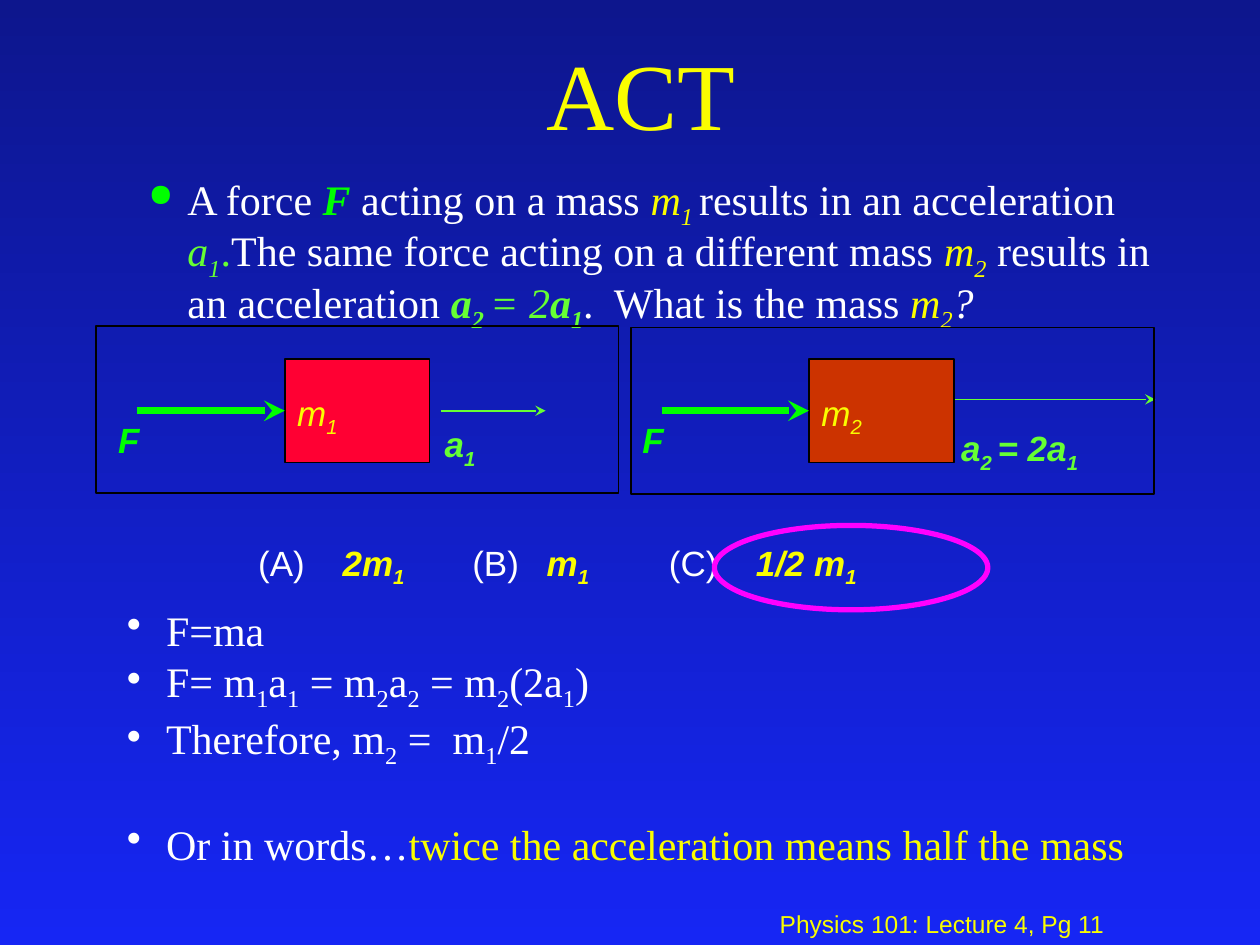
import pptx
import pptx.dml.color
import pptx.enum.shapes
import pptx.enum.text
import pptx.oxml
import pptx.oxml.ns
import pptx.util
from pptx.util import Inches

WHITE, YELLOW, BLACK = "FFFFFF", "FAFD00", "000000"
GREEN, LIME, MAGENTA = "00FF00", "66FF33", "FF00FF"
SERIF, SANS = "Times New Roman", "Arial"
SHAPES = pptx.enum.shapes.MSO_SHAPE


def rgb(value):
    return pptx.dml.color.RGBColor.from_string(value)


def add_xml(parent, tag, **attributes):
    child = pptx.oxml.parse_xml(f"<a:{tag} {pptx.oxml.ns.nsdecls('a')}/>")
    for key, value in attributes.items():
        child.set(key, str(value))
    parent.append(child)
    return child


class Deck:
    """Holds the presentation style and the current slide."""

    def __init__(self, width, height):
        self.show = pptx.Presentation()
        self.show.slide_width, self.show.slide_height = Inches(width), Inches(height)
        self.hanging = Inches(0.31)

    def new_slide(self, top_color, bottom_color):
        self.slide = self.show.slides.add_slide(self.show.slide_layouts[6])
        fill = self.slide.background.fill
        fill.gradient()
        fill.gradient_angle = 270
        for stop, color in zip(fill.gradient_stops, (top_color, bottom_color)):
            stop.color.rgb = rgb(color)

    def text(self, left, top, width, height, paragraphs, size, font=SANS, before=0,
             spacing=0.9, bullet=None, tabs=(), centered=False):
        """Each paragraph is a list of runs (text, colour, flags): b bold, i italic, _ subscript."""
        box = self.slide.shapes.add_textbox(*map(Inches, (left, top, width, height)))
        frame = box.text_frame
        frame.word_wrap = True
        if centered:
            frame.vertical_anchor = pptx.enum.text.MSO_ANCHOR.MIDDLE
        for index, runs in enumerate(paragraphs):
            paragraph = frame.add_paragraph() if index else frame.paragraphs[0]
            paragraph.line_spacing = spacing
            paragraph.space_before = pptx.util.Pt(before)
            if centered:
                paragraph.alignment = pptx.enum.text.PP_ALIGN.CENTER
            properties = paragraph._p.get_or_add_pPr()
            if bullet:
                character, color, percent = bullet
                properties.set("marL", str(self.hanging))
                properties.set("indent", str(-self.hanging))
                add_xml(add_xml(properties, "buClr"), "srgbClr", val=color)
                add_xml(properties, "buSzPct", val=percent * 1000)
                add_xml(properties, "buChar", char=character)
            if tabs:
                stops = add_xml(properties, "tabLst")
                for position in tabs:
                    add_xml(stops, "tab", pos=Inches(position), algn="l")
            for words, color, flags in runs:
                run = paragraph.add_run()
                run.text = words
                run.font.name, run.font.size = font, pptx.util.Pt(size)
                run.font.color.rgb = rgb(color)
                run.font.bold, run.font.italic = "b" in flags, "i" in flags
                if "_" in flags:
                    run.font._element.set("baseline", "-25000")
        return frame

    def shape(self, kind, left, top, width, height, line, weight=1, fill=None):
        shape = self.slide.shapes.add_shape(kind, *map(Inches, (left, top, width, height)))
        shape.shadow.inherit = False
        if fill:
            shape.fill.solid()
            shape.fill.fore_color.rgb = rgb(fill)
        else:
            shape.fill.background()
        shape.line.color.rgb = rgb(line)
        shape.line.width = pptx.util.Pt(weight)
        return shape

    def arrow(self, start, end, y, color, weight):
        arrow = self.slide.shapes.add_connector(
            pptx.enum.shapes.MSO_CONNECTOR.STRAIGHT, *map(Inches, (start, y, end, y)))
        arrow.line.color.rgb = rgb(color)
        arrow.line.width = pptx.util.Pt(weight)
        add_xml(arrow.line._get_or_add_ln(), "tailEnd", type="stealth")
        add_xml(arrow._element.spPr, "effectLst")
        return arrow

    def mass_panel(self, frame_left, frame_top, block_left, block_color, number,
                   acceleration, acceleration_label):
        block = self.shape(SHAPES.RECTANGLE, block_left, 2.85, 1.15, 0.82, BLACK, fill=block_color)
        force = self.arrow(block_left - 1.17, block_left, 3.26, GREEN, 4)
        force.end_connect(block, 1)
        self.text(block_left - 1.42, 3.31, 1.07, 0.4, [[("F", GREEN, "bi")]], 20, before=12.5)
        self.arrow(*acceleration, LIME, 1)
        left, top, width, runs = acceleration_label
        self.text(left, top, width, 0.44, [runs], 20, before=12.5)
        self.text(block_left, 3.06, 1.15, 0.44,
                  [[("m", YELLOW, "i"), (number, YELLOW, "i_")]], 20, before=12.5)
        self.shape(SHAPES.RECTANGLE, frame_left, frame_top, 4.15, 1.32, BLACK)


def formula(source, color=WHITE):
    """Turn 'm_1' style notation into runs with a one-digit subscript."""
    first, *rest = source.split("_")
    runs = [(first, color, "")]
    for part in rest:
        runs.append((part[0], color, "_"))
        if part[1:]:
            runs.append((part[1:], color, ""))
    return runs


def main():
    deck = Deck(10, 7.5)
    deck.new_slide("0D168D", "1626F4")

    # Footer and title
    deck.text(6.09, 7.19, 3.8, 0.31, [[("Physics 101: Lecture 4, Pg 11", YELLOW, "")]],
              14, before=5.2)
    deck.text(1, 0.17, 8.17, 1.25, [[("ACT", YELLOW, "")]], 54, SERIF, centered=True)

    # Question
    question = [
        ("A force ", WHITE, ""), ("F", GREEN, "bi"), (" acting on a mass ", WHITE, ""),
        ("m", YELLOW, "i"), ("1 ", YELLOW, "i_"), ("results in an acceleration ", WHITE, ""),
        ("a", LIME, "i"), ("1", LIME, "i_"), (".", LIME, ""),
        ("The same force acting on a different mass ", WHITE, ""),
        ("m", YELLOW, "i"), ("2", YELLOW, "i_"), (" results in an acceleration ", WHITE, ""),
        ("a", LIME, "bi"), ("2 ", LIME, "bi_"), ("= 2", LIME, "i"),
        ("a", LIME, "bi"), ("1", LIME, "bi_"), (".  What is the mass ", WHITE, ""),
        ("m", YELLOW, "i"), ("2", YELLOW, "i_"), ("?", WHITE, "i"),
    ]
    deck.text(1.08, 1.33, 8.17, 1.08, [question], 24, SERIF, before=9, bullet=("●", GREEN, 75))

    # Answer choices
    choices = []
    for letter, answer in (("(A)", "2m"), ("\t(B)", "m"), ("\t(C)", "1/2 m")):
        choices += [(letter + "\t", WHITE, ""), (answer, YELLOW, "bi"), ("1", YELLOW, "bi_")]
    deck.text(1.95, 4.25, 5.58, 0.44, [choices], 20, before=12.5,
              tabs=(0.67, 1.7, 2.29, 3.26, 3.95))

    # Two masses under the same force
    deck.mass_panel(0.76, 2.59, 2.26, "FF0033", "1", (3.5, 4.33, 3.26),
                    (3.43, 3.31, 1.07, [("a", LIME, "bi"), ("1", LIME, "bi_")]))
    deck.mass_panel(5.01, 2.6, 6.42, "CC3300", "2", (7.58, 9.17, 3.17),
                    (7.53, 3.34, 1.76, [("a", LIME, "bi"), ("2 ", LIME, "bi_"),
                                        ("= 2a", LIME, "bi"), ("1", LIME, "bi_")]))

    # Solution
    solution = [
        formula("F=ma"),
        formula("F= m_1a_1 = m_2a_2 = m_2(2a_1)"),
        formula("Therefore, m_2 =  m_1/2"),
        formula("Or in words…") + formula("twice the acceleration means half the mass", YELLOW),
    ]
    explanation = deck.text(0.91, 4.75, 8.2, 2.61, solution, 24, SERIF, spacing=1.0,
                            bullet=("•", WHITE, 100))
    explanation.paragraphs[-1].space_before = pptx.util.Pt(28)

    # Ring around the correct answer
    deck.shape(SHAPES.OVAL, 5.67, 4.17, 2.17, 0.67, MAGENTA, weight=3)

    deck.show.save("out.pptx")


if __name__ == "__main__":
    main()
